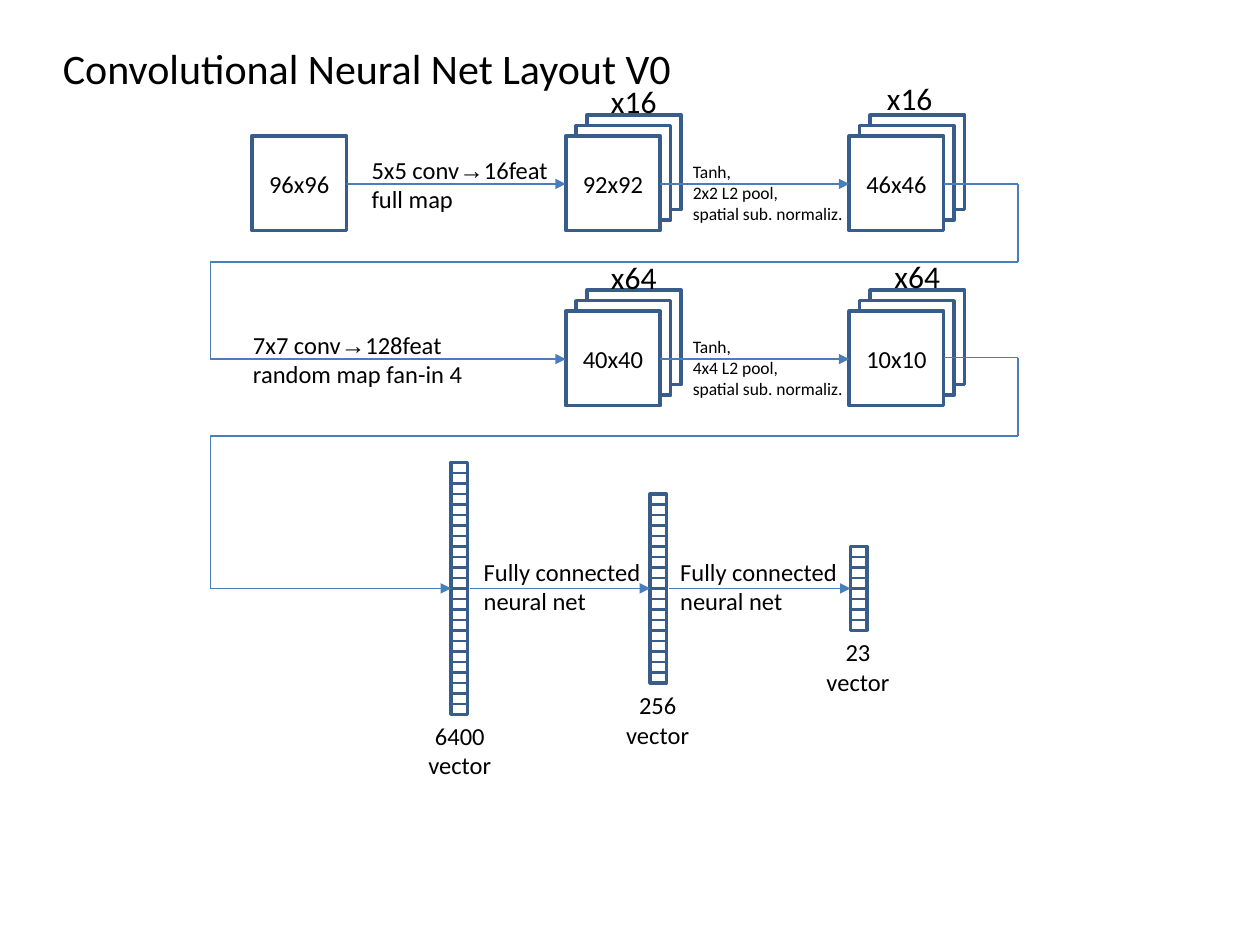
import pptx
import pptx.dml.color
import pptx.enum.shapes
import pptx.enum.text
import pptx.oxml.ns
import pptx.util
from lxml import etree
from pptx.util import Inches

RGB = pptx.dml.color.RGBColor.from_string
RECT = pptx.enum.shapes.MSO_SHAPE.RECTANGLE
LINE = pptx.enum.shapes.MSO_CONNECTOR.STRAIGHT
LEFT, MID = pptx.enum.text.PP_ALIGN.LEFT, pptx.enum.text.PP_ALIGN.CENTER
FIT = pptx.enum.text.MSO_AUTO_SIZE.SHAPE_TO_FIT_TEXT
THEME = {
    "font": "Calibri", "arrow": "Arial",
    "ink": RGB("000000"), "fill": RGB("FFFFFF"),
    "edge": RGB("385D8A"), "wire": RGB("4A7EBB"),
    "title": 24, "count": 18, "body": 14, "small": 10,
}

deck = pptx.Presentation()
deck.slide_width, deck.slide_height = Inches(10), Inches(7.5)
slide = deck.slides.add_slide(deck.slide_layouts[6])
shapes = slide.shapes


def write(frame, text, size, align):
    """Fill a text frame, one paragraph a line, with arrows in their own font."""
    for i, row in enumerate(text.split("\n")):
        para = frame.paragraphs[0] if i == 0 else frame.add_paragraph()
        para.alignment = align
        for part in filter(None, row.partition("→")):
            run = para.add_run()
            run.text = part
            run.font.color.rgb = THEME["ink"]
            form = {"name": THEME["arrow" if part == "→" else "font"],
                    "size": pptx.util.Pt(THEME[size])}
            for key, val in form.items():
                setattr(run.font, key, val)


def link(x1, y1, x2, y2, tone="wire", width=0.75, head=False):
    """Draw a straight line, with an arrowhead at its end if asked."""
    line = shapes.add_connector(LINE, *map(Inches, (x1, y1, x2, y2)))
    line.line.color.rgb = THEME[tone]
    line.line.width = pptx.util.Pt(width)
    if head:
        tail = etree.SubElement(line.line._get_or_add_ln(), pptx.oxml.ns.qn("a:tailEnd"))
        tail.set("type", "triangle")
    etree.SubElement(line._element.spPr, pptx.oxml.ns.qn("a:effectLst"))


# Boxes: feature maps, stacked from back to front, then the vectors
SIDE, STEP = 0.75, 1 / 12
AXIS = 4.67
maps = [(2, 1.08, "96x96", 1), (4.49, 1.08, "92x92", 3), (6.74, 1.08, "46x46", 3),
        (4.49, 2.47, "40x40", 3), (6.74, 2.47, "10x10", 3)]
bars = [(3.58, 24), (5.16, 18), (6.75, 8)]
boxes = [(x + k * STEP, y - k * STEP, SIDE, SIDE, "" if k else name)
         for x, y, name, deep in maps for k in reversed(range(deep))]
boxes += [(x, AXIS - n * STEP / 2, 0.13, n * STEP, "") for x, n in bars]
for *place, name in boxes:
    box = shapes.add_shape(RECT, *map(Inches, place))
    box.shadow.inherit = False
    box.fill.solid()
    box.fill.fore_color.rgb = THEME["fill"]
    box.line.color.rgb = THEME["edge"]
    box.line.width = pptx.util.Pt(2)
    if name:
        write(box.text_frame, name, "body", MID)

# Cell marks in the vectors
for x, n in bars:
    for k in range(1, n):
        y = AXIS + (k - n / 2) * STEP
        link(x, y, x + 0.12, y, "edge", 1.5)

# Arrows between the stages
for x1, y, x2 in [(2.75, 1.46, 4.49), (5.24, 1.46, 6.74),
                  (1.67, 2.85, 4.49), (5.24, 2.85, 6.74),
                  (1.67, AXIS, 3.58), (3.73, AXIS, 5.16), (5.31, AXIS, 6.75)]:
    link(x1, y, x2, y, head=True)

# Lines that lead back to the next row
for top, turn, end in [(1.46, 2.08, 2.85), (2.84, 3.46, AXIS)]:
    route = [(7.49, top), (8.08, top), (8.08, turn), (1.67, turn), (1.67, end)]
    for start, stop in zip(route, route[1:]):
        link(*start, *stop)

# Labels
POOL = "Tanh,\n{0} L2 pool,\nspatial sub. normaliz."
FULL = "Fully connected\nneural net"
labels = [
    (0.4, 0.29, 6.19, 0.5, "Convolutional Neural Net Layout V0", "title", LEFT),
    (2.85, 1.18, 1.61, 0.57, "5x5 conv→16feat\nfull map", "body", LEFT),
    (1.91, 2.57, 1.87, 0.57, "7x7 conv→128feat\nrandom map fan-in 4", "body", LEFT),
    (5.4, 1.23, 1.39, 0.6, POOL.format("2x2"), "small", LEFT),
    (5.4, 2.62, 1.39, 0.6, POOL.format("4x4"), "small", LEFT),
    (3.74, 4.37, 1.45, 0.57, FULL, "body", LEFT),
    (5.3, 4.37, 1.45, 0.57, FULL, "body", LEFT),
    (3.3, 5.67, 0.7, 0.57, "6400\nvector", "body", MID),
    (4.87, 5.43, 0.7, 0.57, "256\nvector", "body", MID),
    (6.46, 5.01, 0.7, 0.57, "23\nvector", "body", MID),
    (4.75, 0.6, 0.56, 0.4, "x16", "count", MID),
    (6.94, 0.58, 0.56, 0.4, "x16", "count", MID),
    (4.75, 2, 0.56, 0.4, "x64", "count", MID),
    (7, 1.99, 0.56, 0.4, "x64", "count", MID),
]
for *place, text, size, align in labels:
    frame = shapes.add_textbox(*map(Inches, place)).text_frame
    for key, val in {"word_wrap": size == "title", "auto_size": FIT}.items():
        setattr(frame, key, val)
    write(frame, text, size, align)

deck.save("out.pptx")
